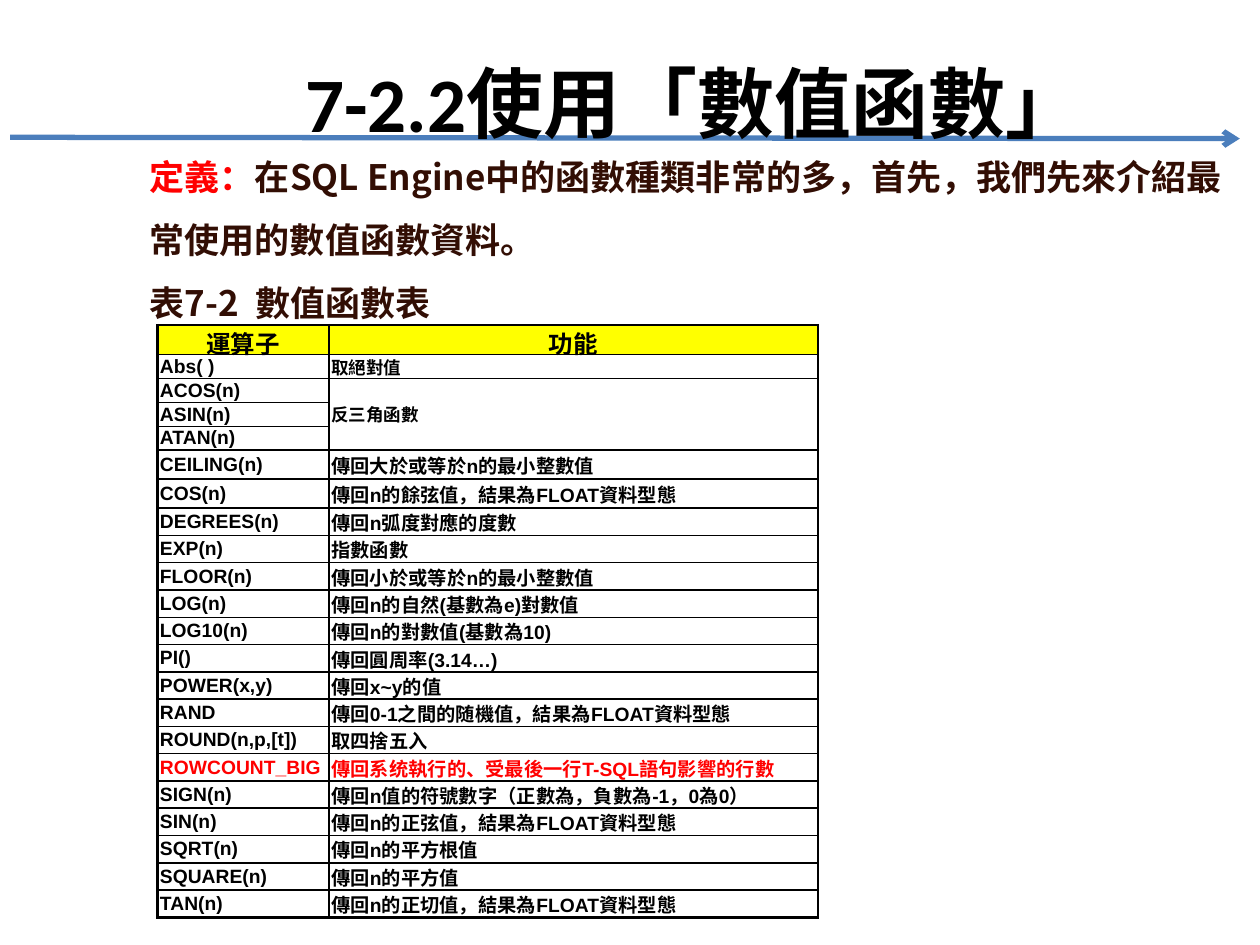
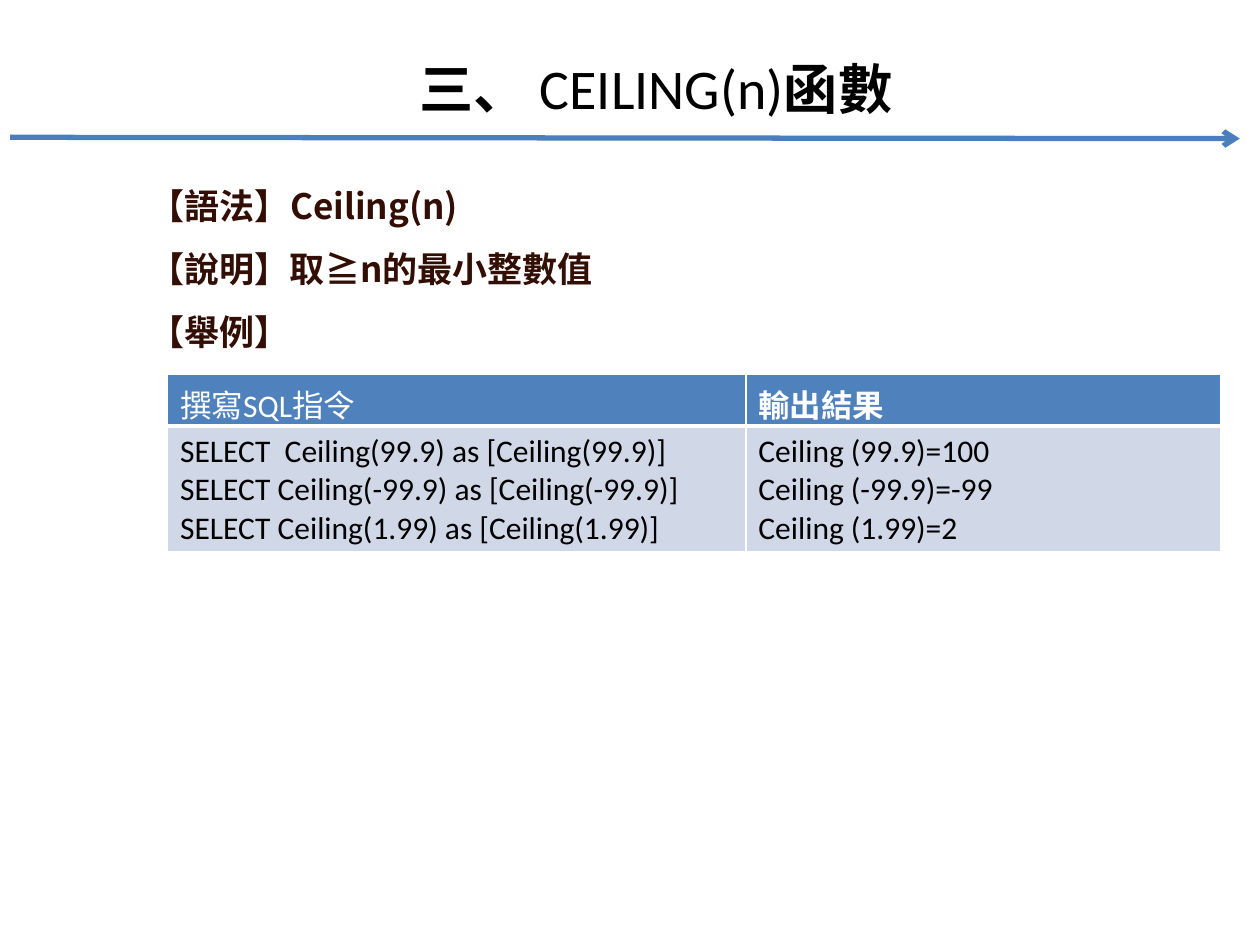
from lxml import etree
from pptx import Presentation
from pptx import util as u
from pptx.dml.color import RGBColor
from pptx.enum import shapes, text
from pptx.oxml import ns

Inches, Pt = u.Inches, u.Pt

# Shared colours and fonts
BLACK = RGBColor(0x00, 0x00, 0x00)
WHITE = RGBColor(0xFF, 0xFF, 0xFF)
RED = RGBColor(0xFF, 0x00, 0x00)
YELLOW = RGBColor(0xFF, 0xFF, 0x00)
BROWN = RGBColor(0x32, 0x0E, 0x04)
ARROW_BLUE = RGBColor(0x4B, 0x7E, 0xBC)
HEADER_BLUE = RGBColor(0x4F, 0x81, 0xBD)
PALE_BLUE = RGBColor(0xD0, 0xD8, 0xE8)
TITLE_FONT, BODY_FONT, TABLE_FONT = "Calibri", "Noto Sans CJK SC", "Arial"

presentation = Presentation()
presentation.slide_width, presentation.slide_height = Inches(10), Inches(7.5)


def add_page(title_runs, title_spacing, body_top, body_height, body):
    """Add a slide with the arrow rule, its title and its body text."""
    slide = presentation.slides.add_slide(presentation.slide_layouts[5])

    # Arrow rule, behind the title
    rule = slide.shapes.add_connector(
        shapes.MSO_CONNECTOR.STRAIGHT, Inches(0.08), Inches(1.09), Inches(9.84), Inches(1.1))
    rule.line.color.rgb, rule.line.width = ARROW_BLUE, Pt(3)
    etree.SubElement(rule.line._get_or_add_ln(), ns.qn("a:tailEnd"), type="arrow")
    etree.SubElement(rule._element.spPr, ns.qn("a:effectLst"))
    slide.shapes._spTree.insert(2, rule._element)

    # Title
    title = slide.shapes.title
    title.left, title.top = Inches(1.02), Inches(0)
    title.width, title.height = Inches(8.98), Inches(1.25)
    title.text_frame.vertical_anchor = text.MSO_ANCHOR.MIDDLE
    paragraph = title.text_frame.paragraphs[0]
    paragraph.alignment = text.PP_ALIGN.CENTER
    paragraph.line_spacing = title_spacing
    paragraph.font.name, paragraph.font.color.rgb = TITLE_FONT, BLACK
    for words, size, bold in title_runs:
        run = paragraph.add_run()
        run.text, run.font.size, run.font.bold = words, Pt(size), bold

    # Body text
    box = slide.shapes.add_textbox(Inches(1.09), Inches(body_top), Inches(8.91), Inches(body_height))
    frame = box.text_frame
    frame.word_wrap = True
    frame.auto_size = text.MSO_AUTO_SIZE.SHAPE_TO_FIT_TEXT
    for index, runs in enumerate(body):
        paragraph = frame.add_paragraph() if index else frame.paragraphs[0]
        paragraph.line_spacing = 1.5
        paragraph.font.name, paragraph.font.size, paragraph.font.bold = BODY_FONT, Pt(20), True
        for words, colour in runs:
            run = paragraph.add_run()
            run.text, run.font.color.rgb = words, colour
    return slide


def style_cell(cell, words, font, size, colour, bold, fill, line_colour, line_widths):
    """Fill one table cell; line_widths run left, right, top, bottom."""
    properties = cell._tc.get_or_add_tcPr()
    for side, width in zip("LRTB", line_widths):
        line = etree.SubElement(properties, ns.qn(f"a:ln{side}"), w=str(Pt(width)))
        solid = etree.SubElement(line, ns.qn("a:solidFill"))
        etree.SubElement(solid, ns.qn("a:srgbClr"), val=str(line_colour))
    if fill is None:
        cell.fill.background()
    else:
        cell.fill.solid()
        cell.fill.fore_color.rgb = fill
    cell.text = words
    for paragraph in cell.text_frame.paragraphs:
        paragraph.font.name, paragraph.font.size = font, Pt(size)
        paragraph.font.bold, paragraph.font.color.rgb = bold, colour


# Slide 1: numeric functions
slide = add_page(
    [("7-2.2使用「數值函數」", 44, True)], 1.5, 1.02, 1.62,
    [[("定義：", RED),
      ("在SQL Engine中的函數種類非常的多，首先，我們先來介紹最常使用的數值函數資料。", BROWN)],
     [("表7-2  數值函數表", BROWN)]])

functions = [
    ("運算子", "功能"),
    ("Abs( )", "取絕對值"),
    ("ACOS(n)", "反三角函數"),
    ("ASIN(n)", ""),
    ("ATAN(n)", ""),
    ("CEILING(n)", "傳回大於或等於n的最小整數值"),
    ("COS(n)", "傳回n的餘弦值，結果為FLOAT資料型態"),
    ("DEGREES(n)", "傳回n弧度對應的度數"),
    ("EXP(n)", "指數函數"),
    ("FLOOR(n)", "傳回小於或等於n的最小整數值"),
    ("LOG(n)", "傳回n的自然(基數為e)對數值"),
    ("LOG10(n)", "傳回n的對數值(基數為10)"),
    ("PI()", "傳回圓周率(3.14…)"),
    ("POWER(x,y)", "傳回x~y的值"),
    ("RAND", "傳回0-1之間的随機值，結果為FLOAT資料型態"),
    ("ROUND(n,p,[t])", "取四捨五入"),
    ("ROWCOUNT_BIG", "傳回系统執行的、受最後一行T-SQL語句影響的行數"),
    ("SIGN(n)", "傳回n值的符號數字（正數為，負數為-1，0為0）"),
    ("SIN(n)", "傳回n的正弦值，結果為FLOAT資料型態"),
    ("SQRT(n)", "傳回n的平方根值"),
    ("SQUARE(n)", "傳回n的平方值"),
    ("TAN(n)", "傳回n的正切值，結果為FLOAT資料型態"),
]
last = len(functions) - 1
top_heights = [0.23] + [0.19] * 4 + [0.23] * 2
other_count = len(functions) - len(top_heights)
row_heights = top_heights + [(4.7 - sum(top_heights)) / other_count] * other_count

table = slide.shapes.add_table(
    len(functions), 2, Inches(1.25), Inches(2.58), Inches(5.24), Inches(4.7)).table
table.first_row = table.horz_banding = False
table.columns[0].width, table.columns[1].width = Inches(1.36), Inches(3.88)
for r, entry in enumerate(functions):
    table.rows[r].height = Inches(row_heights[r])
    for c, words in enumerate(entry):
        cell = table.cell(r, c)
        cell.margin_left = cell.margin_right = Inches(0.02)
        cell.margin_top = cell.margin_bottom = 0
        cell.vertical_anchor = text.MSO_ANCHOR.MIDDLE
        size = 14 if r == 0 else 10 if c == 1 and r < 5 else 11
        outer_edges = (c == 0, c == 1, r == 0, r == last)
        style_cell(cell, words, TABLE_FONT, size, RED if entry[0] == "ROWCOUNT_BIG" else BLACK,
                   True, YELLOW if r == 0 else None, BLACK,
                   [1.5 if outer else 1 for outer in outer_edges])
        if r == 0:
            cell.text_frame.paragraphs[0].alignment = text.PP_ALIGN.CENTER
table.cell(2, 1).merge(table.cell(4, 1))

# Slide 2: the CEILING function
slide = add_page(
    [("三、 ", 31, True), ("CEILING(n)", 32, False), ("函數", 31, True), ("　", 44, True)],
    1.0, 1.25, 2.12,
    [[(words, BROWN)] for words in ("【語法】Ceiling(n)", "【說明】取≧n的最小整數值", "【舉例】")])

examples = [
    ("撰寫SQL指令", "輸出結果"),
    ("SELECT  Ceiling(99.9) as [Ceiling(99.9)]\n"
     "SELECT Ceiling(-99.9) as [Ceiling(-99.9)]\n"
     "SELECT Ceiling(1.99) as [Ceiling(1.99)]",
     "Ceiling (99.9)=100\nCeiling (-99.9)=-99\nCeiling (1.99)=2"),
]
table = slide.shapes.add_table(
    2, 2, Inches(1.33), Inches(2.97), Inches(8.36), Inches(1.41)).table
table.first_row = table.horz_banding = False
table.columns[0].width, table.columns[1].width = Inches(4.59), Inches(3.77)
table.rows[0].height, table.rows[1].height = Inches(0.41), Inches(1)
for r, entry in enumerate(examples):
    header = r == 0
    for c, words in enumerate(entry):
        style_cell(table.cell(r, c), words, TITLE_FONT, 18, WHITE if header else BLACK,
                   header and c == 1, HEADER_BLUE if header else PALE_BLUE, WHITE,
                   [1, 1, 1, 3 if header else 1])

presentation.save("out.pptx")
